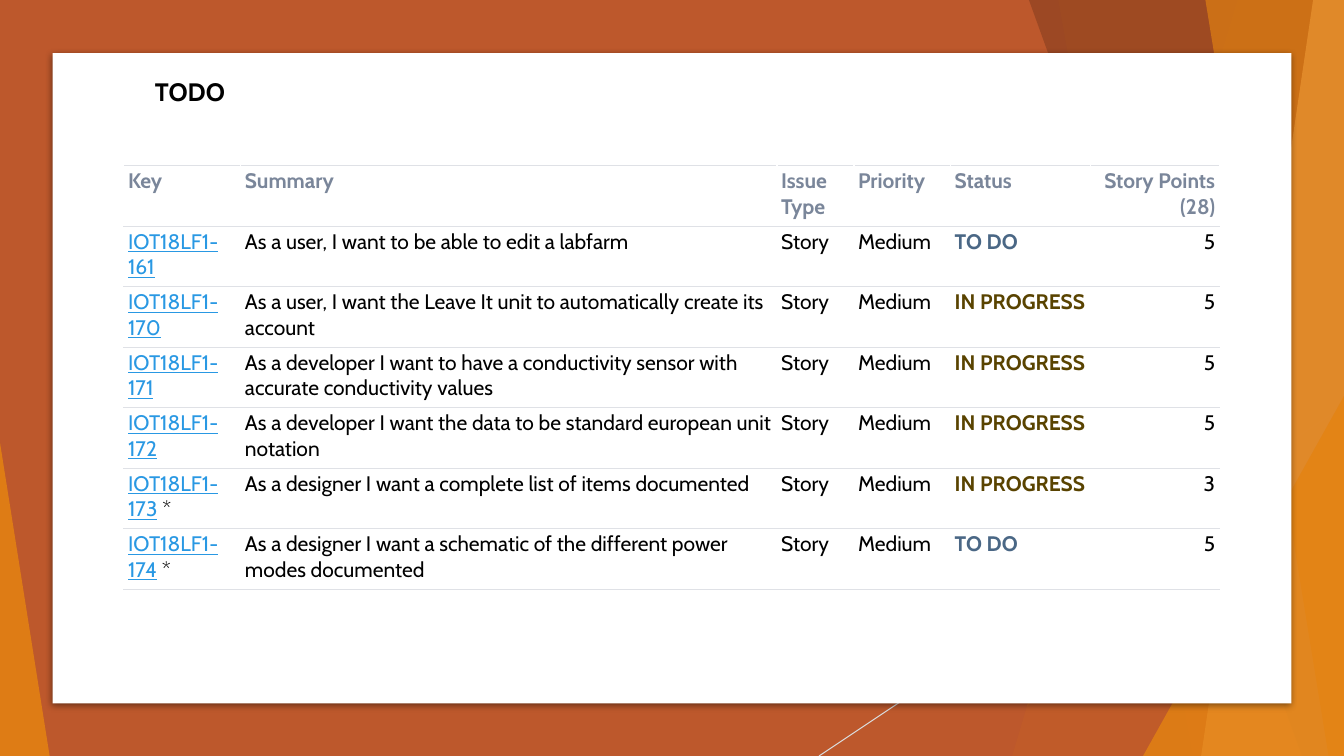
"""Builds the TODO slide: a backlog table on a white panel over angular facets."""
import pptx
import pptx.util
import pptx.dml.color
import pptx.enum.shapes
import pptx.enum.text
import pptx.oxml
import pptx.oxml.ns

Pt = pptx.util.Pt
SHAPE = pptx.enum.shapes.MSO_SHAPE
ALIGN = pptx.enum.text.PP_ALIGN
W, H = 960, 540
COLORS = {
    "rust": "BD582C", "orange": "E48312", "brown": "8E4221", "peach": "F3B56C",
    "streak": "D9D9D9", "white": "FFFFFF", "black": "000000", "border": "DFE1E6",
    "header": "7A869A", "link": "2998E3", "TO DO": "4A6785", "IN PROGRESS": "594300",
}
HEADERS = ["Key", "Summary", "Issue Type", "Priority", "Status", "Story Points (28)"]
COL_WIDTHS = [83.5, 383, 55, 69, 100, 92]
STORIES = [
    ("161", "", "As a user, I want to be able to edit a labfarm", "TO DO", 5),
    ("170", "", "As a user, I want the Leave It unit to automatically create its account",
     "IN PROGRESS", 5),
    ("171", "", "As a developer I want to have a conductivity sensor with accurate "
     "conductivity values", "IN PROGRESS", 5),
    ("172", "", "As a developer I want the data to be standard european unit notation",
     "IN PROGRESS", 5),
    ("173", " *", "As a designer I want a complete list of items documented",
     "IN PROGRESS", 3),
    ("174", " *", "As a designer I want a schematic of the different power modes documented",
     "TO DO", 5),
]


def rgb(name):
    """Return the named colour."""
    return pptx.dml.color.RGBColor.from_string(COLORS[name])


def xml(text):
    """Parse a DrawingML element."""
    return pptx.oxml.parse_xml(text.replace(" ", f' {pptx.oxml.ns.nsdecls("a")} ', 1))


class Deck:
    """Holds the slide style and the slide being drawn."""

    font = "Cabin"

    def __init__(self, prs):
        """Add a title-only slide."""
        self.s = prs.slides.add_slide(prs.slide_layouts[5])

    def style(self, font, size, color, bold=False, underline=False):
        """Format a paragraph or run font."""
        font.name, font.size = self.font, Pt(size)
        font.bold, font.underline = bold, underline
        font.color.rgb = rgb(color)

    def paint(self, sp, color, alpha=100):
        """Fill a shape without outline or shadow."""
        sp.shadow.inherit = False
        sp.line.fill.background()
        sp.fill.solid()
        sp.fill.fore_color.rgb = rgb(color)
        if alpha < 100:
            clr = sp.fill._xPr.find(".//" + pptx.oxml.ns.qn("a:srgbClr"))
            clr.append(xml(f'<a:alpha val="{alpha * 1000}"/>'))
        return sp

    def shape(self, kind, x, y, w, h, color, alpha=100):
        """Add a preset shape."""
        sp = self.s.shapes.add_shape(kind, Pt(x), Pt(y), Pt(w), Pt(h))
        return self.paint(sp, color, alpha)

    def corner(self, x, y, w, color, alpha, apex):
        """Add a right triangle standing on the bottom edge."""
        sp = self.shape(SHAPE.ISOSCELES_TRIANGLE, x, y, w, H - y, color, alpha)
        sp.adjustments[0] = apex

    def facet(self, top, bottom, color, alpha):
        """Add a full-height facet from a slanted side to the right edge."""
        fb = self.s.shapes.build_freeform(Pt(top), 0)
        fb.add_line_segments([(Pt(W), 0), (Pt(W), Pt(H)), (Pt(bottom), Pt(H))])
        self.paint(fb.convert_to_shape(), color, alpha)

    def line(self, x1, y1, x2, y2, color):
        """Add a thin straight line."""
        kind = pptx.enum.shapes.MSO_CONNECTOR.STRAIGHT
        cn = self.s.shapes.add_connector(kind, Pt(x1), Pt(y1), Pt(x2), Pt(y2))
        cn.line.width, cn.line.color.rgb = Pt(0.75), rgb(color)
        cn._element.spPr.append(xml("<a:effectLst />"))

    def panel(self, x, y, w, h):
        """Add the white panel with a soft shadow."""
        sp = self.shape(SHAPE.RECTANGLE, x, y, w, h, "white")
        sp._element.spPr.find(pptx.oxml.ns.qn("a:effectLst")).append(xml(
            f'<a:outerShdw blurRad="{Pt(5)}" dist="{Pt(1.4)}" dir="5400000">'
            f'<a:srgbClr val="{COLORS["black"]}"><a:alpha val="43000"/></a:srgbClr>'
            '</a:outerShdw>'))

    def title(self, text, x, y, w, h):
        """Place the title in front of everything."""
        sp = self.s.shapes.title
        sp.left, sp.top, sp.width, sp.height = Pt(x), Pt(y), Pt(w), Pt(h)
        tf = sp.text_frame
        tf.text, tf.word_wrap = text, True
        tf.auto_size = pptx.enum.text.MSO_AUTO_SIZE.SHAPE_TO_FIT_TEXT
        tf.vertical_anchor = pptx.enum.text.MSO_ANCHOR.TOP
        p = tf.paragraphs[0]
        p.alignment = ALIGN.LEFT
        self.style(p.font, 18, "black", True)
        self.s.shapes._spTree.append(sp._element)

    def cell(self, cell, text, color="black", bold=False, underline=False,
             align=ALIGN.LEFT, mark=""):
        """Write one table cell, with an optional plain mark after its text."""
        cell.margin_left = cell.margin_right = Pt(3)
        cell.margin_top = cell.margin_bottom = Pt(2)
        cell.fill.solid()
        cell.fill.fore_color.rgb = rgb("white")
        for i, side in enumerate(("lnT", "lnB")):
            cell._tc.tcPr.insert(i, xml(
                f'<a:{side} w="{Pt(0.75)}"><a:solidFill><a:srgbClr '
                f'val="{COLORS["border"]}"/></a:solidFill></a:{side}>'))
        p = cell.text_frame.paragraphs[0]
        p.alignment = align
        r = p.add_run()
        r.text = text
        self.style(r.font if mark else p.font, 15, color, bold, underline)
        if mark:
            r = p.add_run()
            r.text = mark
            self.style(r.font, 15, "black")

    def table(self, x, y, row_height):
        """Add the backlog table."""
        n = len(STORIES) + 1
        tb = self.s.shapes.add_table(n, len(HEADERS), Pt(x), Pt(y), Pt(sum(COL_WIDTHS)),
                                     Pt(n * row_height)).table
        tb.first_row = tb.horz_banding = False
        for col, width in zip(tb.columns, COL_WIDTHS):
            col.width = Pt(width)
        for row in tb.rows:
            row.height = Pt(row_height)
        last = len(HEADERS) - 1
        for c, text in enumerate(HEADERS):
            self.cell(tb.cell(0, c), text, "header", True,
                      align=ALIGN.RIGHT if c == last else ALIGN.LEFT)
        for i, (number, mark, summary, status, points) in enumerate(STORIES, 1):
            self.cell(tb.cell(i, 0), f"IOT18LF1-{number}", "link", underline=True, mark=mark)
            for c, text in enumerate((summary, "Story", "Medium"), 1):
                self.cell(tb.cell(i, c), text)
            self.cell(tb.cell(i, 4), status, status, True)
            self.cell(tb.cell(i, last), str(points), align=ALIGN.RIGHT)


def main():
    """Build and save the slide."""
    prs = pptx.Presentation()
    prs.slide_width, prs.slide_height = Pt(W), Pt(H)
    d = Deck(prs)
    d.shape(SHAPE.RECTANGLE, 0, 0, W, H, "rust")
    d.line(W, 290, 585, H, "streak")
    d.facet(884, 723, "orange", 30)
    d.facet(756, 852, "orange", 20)
    d.corner(703.5, 240, 256.5, "rust", 72, 1)
    d.facet(735, 930, "brown", 70)
    d.facet(938, 858, "peach", 70)
    d.facet(861, 949, "orange", 65)
    d.corner(816.5, 283, 143.5, "orange", 80, 1)
    d.corner(0, 316, 35.5, "orange", 85, 0)
    d.panel(37.5, 38, 885, 464.5)
    d.table(88.5, 118.5, 43.2)
    d.title("TODO", 103.5, 51, 271.5, 29)
    prs.save("out.pptx")


if __name__ == "__main__":
    main()
